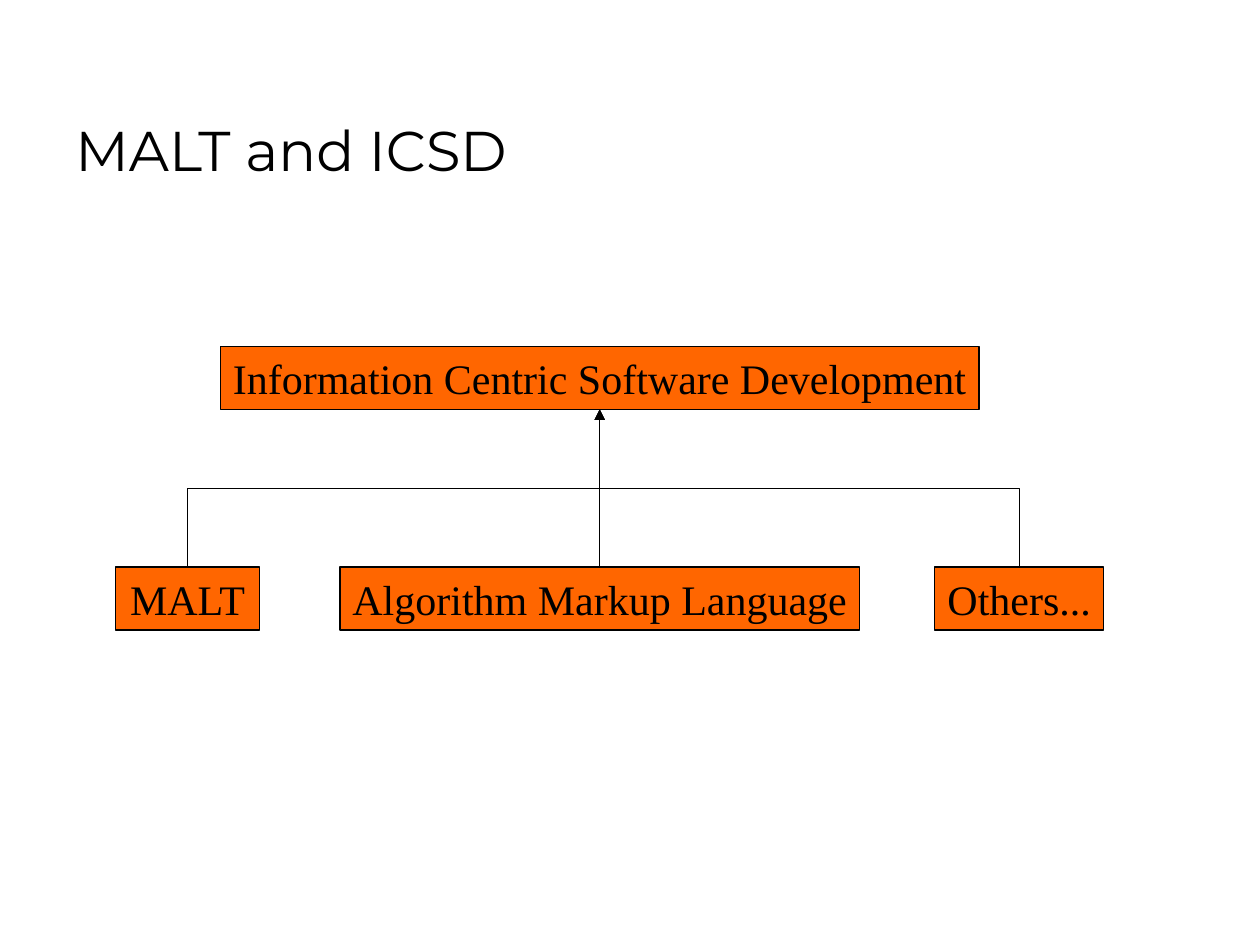
from pptx import Presentation
from pptx.dml.color import RGBColor
from pptx.enum.shapes import MSO_CONNECTOR, MSO_SHAPE
from pptx.enum.text import MSO_ANCHOR, PP_ALIGN
from pptx.oxml.ns import qn
from pptx.util import Pt
from lxml import etree

BLACK = RGBColor(0x00, 0x00, 0x00)
ORANGE = RGBColor(0xFF, 0x66, 0x00)
RECT = MSO_SHAPE.RECTANGLE
ELBOW, STRAIGHT = MSO_CONNECTOR.ELBOW, MSO_CONNECTOR.STRAIGHT
LEFT, CENTER = PP_ALIGN.LEFT, PP_ALIGN.CENTER
MIDDLE, BOTTOM = MSO_ANCHOR.MIDDLE, MSO_ANCHOR.BOTTOM


def write(shape, text, font="Times New Roman", size=24, align=CENTER,
          anchor=MIDDLE, wrap=False):
    frame = shape.text_frame
    frame.word_wrap = wrap
    frame.vertical_anchor = anchor
    para = frame.paragraphs[0]
    para.alignment = align
    run = para.add_run()
    run.text = text
    run.font.name = font
    run.font.size = Pt(size)
    run.font.color.rgb = BLACK


def add_box(text, mid, top, width):
    box = shapes.add_shape(RECT, Pt(mid - width / 2), Pt(top), Pt(width), Pt(HIGH))
    box.shadow.inherit = False
    box.fill.solid()
    box.fill.fore_color.rgb = ORANGE
    box.line.color.rgb = BLACK
    box.line.width = Pt(0.75)
    write(box, text)
    return box


deck = Presentation()
deck.slide_width, deck.slide_height = Pt(720), Pt(540)
shapes = deck.slides.add_slide(deck.slide_layouts[6]).shapes

title = shapes.add_textbox(Pt(36), Pt(18), Pt(646), Pt(90))
write(title, "MALT and ICSD", font="Montserrat", size=32, align=LEFT,
      anchor=BOTTOM, wrap=True)

HIGH = 36
ROOT_MID, ROOT_TOP, CHILD_TOP = 342.7, 198, 324
root = add_box("Information Centric Software Development", ROOT_MID, ROOT_TOP, 433.4)
foot = ROOT_TOP + HIGH
rise = CHILD_TOP - foot

for text, mid, width in [
    ("MALT", 107.2, 82),
    ("Algorithm Markup Language", ROOT_MID, 296.8),
    ("Others...", 582.4, 96.6),
]:
    child = add_box(text, mid, CHILD_TOP, width)
    span = ROOT_MID - mid
    kind = ELBOW if span else STRAIGHT
    link = shapes.add_connector(kind, Pt(mid), Pt(CHILD_TOP), Pt(ROOT_MID), Pt(foot))
    link.begin_connect(child, 0)
    link.end_connect(root, 2)
    if span:
        link.left = Pt((mid + ROOT_MID - rise) / 2)
        link.top = Pt((CHILD_TOP + foot - abs(span)) / 2)
        link.width, link.height = Pt(rise), Pt(abs(span))
        frame = link._element.spPr.find(qn("a:xfrm"))
        frame.set("rot", "16200000")
        frame.set("flipH", "0")
        frame.set("flipV", "1" if span < 0 else "0")
    link.line.color.rgb = BLACK
    link.line.width = Pt(0.75)
    etree.SubElement(link.line._get_or_add_ln(), qn("a:tailEnd"), type="triangle")
    etree.SubElement(link._element.spPr, qn("a:effectLst"))

deck.save("out.pptx")
